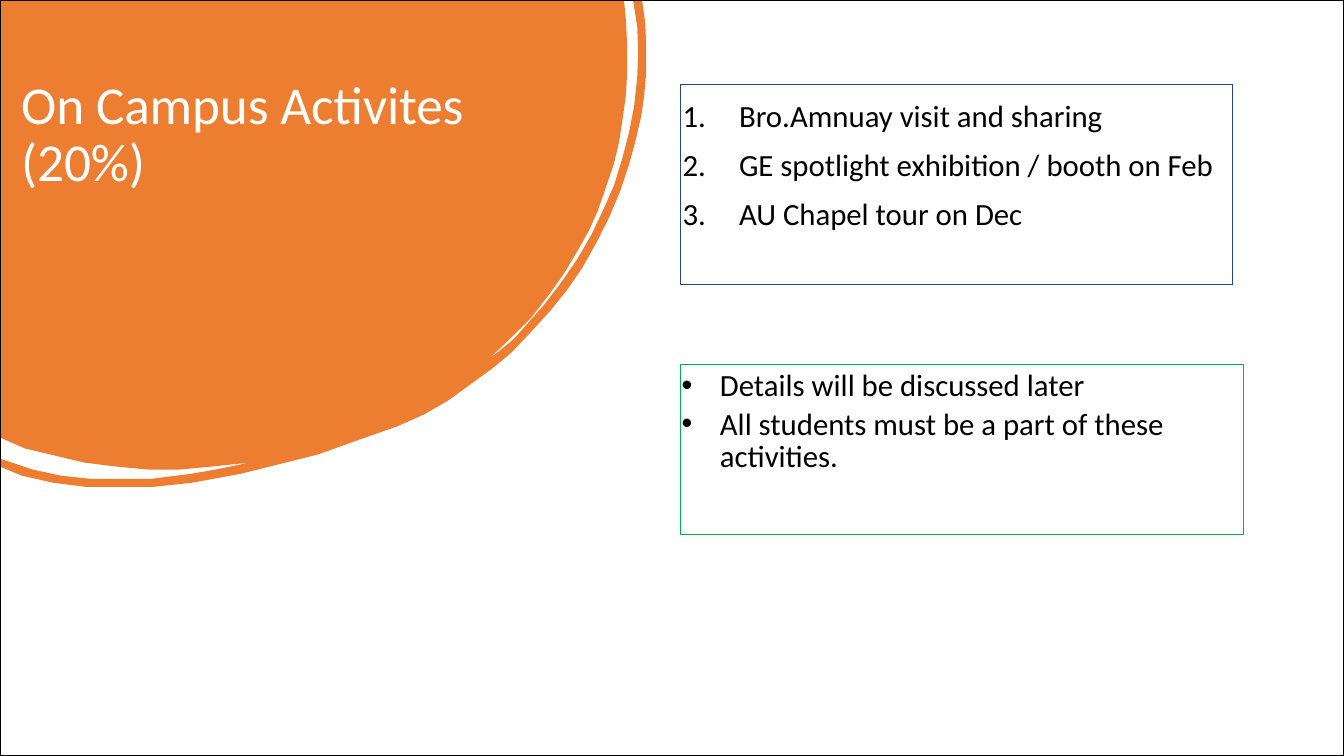
from dataclasses import dataclass

from lxml.etree import SubElement
from pptx import Presentation
from pptx.dml.color import RGBColor
from pptx.enum.shapes import MSO_SHAPE
from pptx.enum.text import MSO_ANCHOR, MSO_AUTO_SIZE, PP_ALIGN
from pptx.oxml.ns import qn
from pptx.util import Inches, Pt

# Outline of the disc and its ring, in hundredths of an inch
DISC = [(0, 1), (619, 1), (621, 23), (622, 44), (622, 72), (621, 93),
        (618, 115), (614, 141), (609, 162), (602, 183), (593, 209),
        (584, 229), (571, 252), (559, 272), (544, 293), (527, 315),
        (508, 334), (485, 356)]
RING = [(493, 350), (510, 336), (525, 319), (540, 302), (556, 281),
        (572, 258), (586, 234), (598, 209), (609, 184), (617, 158),
        (624, 131), (629, 105), (632, 77), (633, 50), (632, 26), (628, 1)]
RIM = [(637, 1), (640, 23), (641, 45), (641, 72), (639, 94), (636, 115),
       (631, 137), (624, 163), (615, 190), (604, 216), (592, 240),
       (578, 265), (563, 287), (546, 308), (527, 329), (507, 350),
       (489, 365), (467, 381), (445, 397), (421, 411), (394, 423),
       (357, 436), (315, 451), (239, 470), (212, 475), (190, 479),
       (152, 483), (85, 483), (53, 479), (22, 472), (0, 463)]
GAP = [(0, 455), (33, 466), (61, 472), (89, 475), (151, 475), (190, 470),
       (213, 466), (247, 459), (209, 463), (176, 466), (149, 466),
       (116, 463), (84, 459), (25, 445), (0, 434)]


@dataclass
class Theme:
    font: str = "Calibri"
    head: int = 38
    body: int = 22
    disc: str = "ED7D31"
    light: str = "FFFFFF"
    dark: str = "000000"
    navy: str = "1F497D"
    green: str = "00B050"


def write(para, text, font, size, color, before=0, lead=None, left=0,
          hang=0, track=0, bullet=None):
    """Fill a paragraph; bullet is a (tag, attributes) pair."""
    para.alignment = PP_ALIGN.LEFT
    para.space_before = Pt(before)
    para.line_spacing = Pt(lead) if lead else 1.0
    props = para._p.get_or_add_pPr()
    props.set("marL", str(Inches(left)))
    props.set("indent", str(Inches(-hang)))
    if bullet:
        tag, attrs = bullet
        SubElement(props, qn(tag), attrs)
    run = para.add_run()
    run.text = text
    run.font.name, run.font.size = font, Pt(size)
    run.font.color.rgb = RGBColor.from_string(color)
    if track:
        run._r.get_or_add_rPr().set("spc", str(track))


class Deck:
    def __init__(self, theme):
        self.theme = theme
        self.file = Presentation()
        self.file.slide_width, self.file.slide_height = Inches(13.33), Inches(7.5)
        self.slide = self.file.slides.add_slide(self.file.slide_layouts[3])
        self.shapes = self.slide.shapes

    def spot(self, left, top, width, height):
        """Turn percentages of the slide into lengths."""
        wide, high = self.file.slide_width, self.file.slide_height
        return [round(part * full / 100) for part, full in
                zip((left, top, width, height), (wide, high, wide, high))]

    def edge(self, shape, color, width):
        shape.line.color.rgb = RGBColor.from_string(color)
        shape.line.width = Pt(width)

    def curve(self, points, color):
        """Draw a closed, unlined outline behind everything else."""
        pen = self.shapes.build_freeform(*points[0], scale=Inches(0.01))
        pen.add_line_segments(points[1:], close=True)
        shape = pen.convert_to_shape()
        shape.shadow.inherit = False
        shape.fill.solid()
        shape.fill.fore_color.rgb = RGBColor.from_string(color)
        shape.line.fill.background()
        self.shapes.element.insert(2, shape.element)

    def fit(self, holder, spot, top, right=0):
        """Move a placeholder and set its margins in inches."""
        holder.left, holder.top, holder.width, holder.height = self.spot(*spot)
        frame = holder.text_frame
        frame.margin_left = frame.margin_bottom = 0
        frame.margin_top, frame.margin_right = Inches(top), Inches(right)
        frame.vertical_anchor = MSO_ANCHOR.TOP
        frame.auto_size = MSO_AUTO_SIZE.NONE
        frame.word_wrap = True
        return frame

    def title(self, text, spot):
        frame = self.fit(self.shapes.title, spot, top=0.09, right=1.2)
        write(frame.paragraphs[0], text, self.theme.font, self.theme.head,
              self.theme.light, before=6.2, lead=41, left=0.04, track=-10)

    def items(self, index, lines, spot, color, top, **form):
        holder = self.slide.placeholders[index]
        frame = self.fit(holder, spot, top)
        self.edge(holder, color, 0.75)
        for row, line in enumerate(lines):
            para = frame.add_paragraph() if row else frame.paragraphs[0]
            write(para, line, self.theme.font, self.theme.body,
                  self.theme.dark, **form)

    def border(self):
        shape = self.shapes.add_shape(MSO_SHAPE.RECTANGLE,
                                      *self.spot(0, 0, 100, 100))
        shape.shadow.inherit = False
        shape.fill.background()
        self.edge(shape, self.theme.dark, 1)


def main():
    theme = Theme()
    deck = Deck(theme)
    deck.curve(DISC + RING + RIM + GAP, theme.disc)
    deck.title("On Campus Activites (20%)", (1.28, 9.07, 48.09, 24.13))
    deck.items(1, ["Bro.Amnuay visit and sharing",
                   "GE spotlight exhibition / booth on Feb",
                   "AU Chapel tour on Dec"],
               (50.64, 11.2, 41.04, 26.4), theme.navy, top=0.12,
               before=8.6, left=0.58, hang=0.56,
               bullet=("a:buAutoNum", {"type": "arabicPeriod"}))
    deck.items(2, ["Details will be discussed later",
                   "All students must be a part of these activities."],
               (50.64, 48.27, 41.86, 22.4), theme.green, top=0.06,
               before=4.6, lead=23, left=0.39, hang=0.38,
               bullet=("a:buChar", {"char": "•"}))
    deck.border()
    deck.file.save("out.pptx")


if __name__ == "__main__":
    main()
